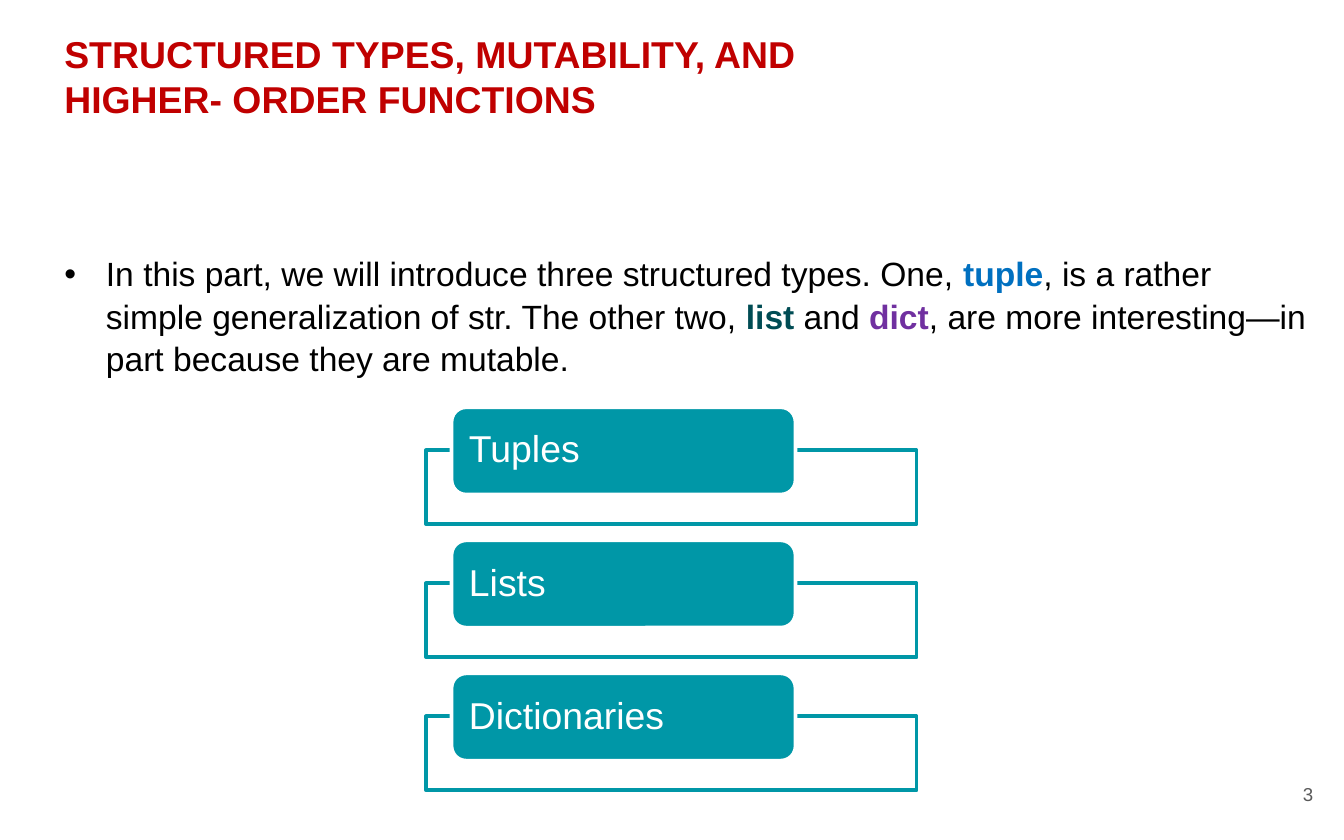
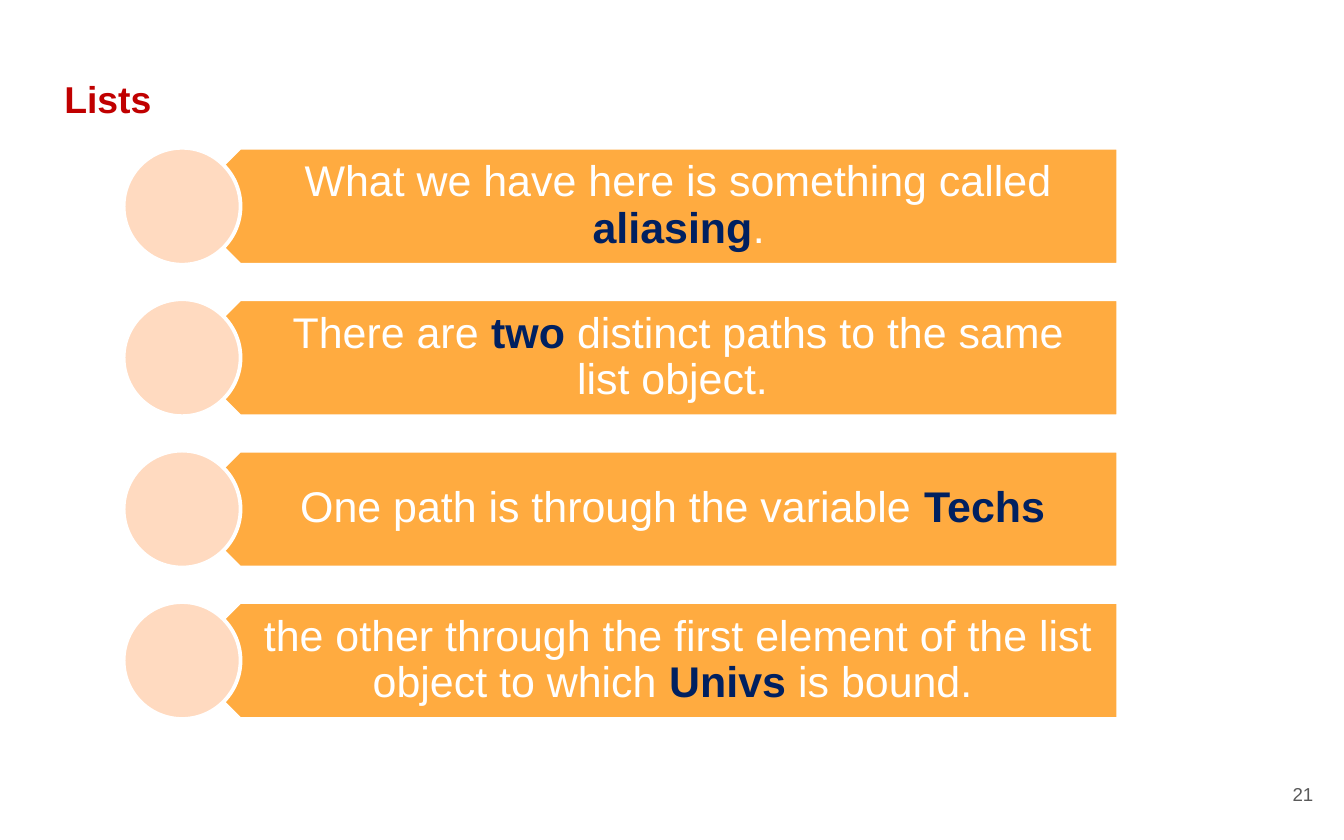
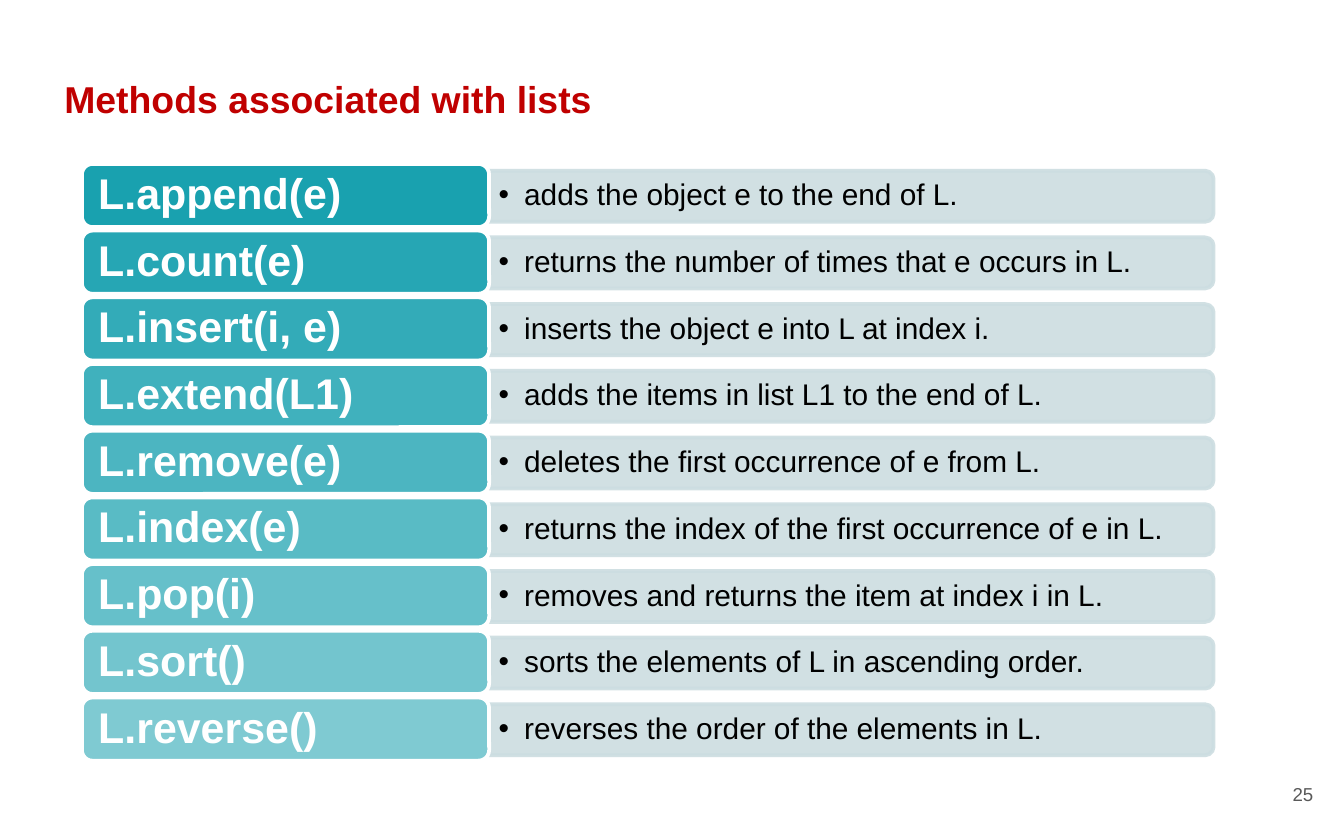
from lxml import etree
from pptx import Presentation
from pptx import util as u
from pptx.dml.color import RGBColor
from pptx.enum import shapes, text
from pptx.oxml.ns import qn

FONT = "Arial"
WHITE, BLACK, GRAY, RED = "FFFFFF", "000000", "595959", "C00000"
TEAL, PALE_TEAL, ORANGE, PEACH = "0097A7", "CCDDE1", "FFAB40", "FFDAC0"
BLUE, DARK_TEAL, PURPLE, NAVY = "0070C0", "004C54", "7030A0", "002060"
LINE_BREAK = "\n"
FORMS = shapes.MSO_SHAPE
LEFT, CENTER, RIGHT = text.PP_ALIGN.LEFT, text.PP_ALIGN.CENTER, text.PP_ALIGN.RIGHT
TOP, MIDDLE, BOTTOM = text.MSO_ANCHOR.TOP, text.MSO_ANCHOR.MIDDLE, text.MSO_ANCHOR.BOTTOM

STRUCTURED_TYPES = ["Tuples", "Lists", "Dictionaries"]
INTRODUCTION = [
    "In this part, we will introduce three structured types. One, ",
    ("tuple", BLUE),
    ", is a rather simple generalization of str. The other two, ",
    ("list", DARK_TEAL),
    " and ",
    ("dict", PURPLE),
    ", are more interesting—in part because they are mutable.",
]
ALIASING = [
    ["What we have here is something called ", ("aliasing", NAVY), "."],
    ["There are ", ("two", NAVY), " distinct paths to the same list object. "],
    ["One path is through the variable ", ("Techs ", NAVY)],
    ["the other through the first element of the list object to which ",
     ("Univs", NAVY), " is bound. "],
]
METHODS = [
    ("L.append(e)", "adds the object e to the end of L."),
    ("L.count(e)", "returns the number of times that e occurs in L."),
    ("L.insert(i, e)", "inserts the object e into L at index i."),
    ("L.extend(L1)", "adds the items in list L1 to the end of L."),
    ("L.remove(e)", "deletes the first occurrence of e from L."),
    ("L.index(e)", "returns the index of the first occurrence of e in L."),
    ("L.pop(i)", "removes and returns the item at index i in L."),
    ("L.sort()", "sorts the elements of L in ascending order."),
    ("L.reverse()", "reverses the order of the elements in L."),
]


def rgb(code):
    return RGBColor.from_string(code)


def inches(*lengths):
    return [u.Inches(length) for length in lengths]


def add_bullet(para, indent):
    properties = para._p.get_or_add_pPr()
    properties.set("marL", str(u.Inches(indent)))
    properties.set("indent", str(-u.Inches(indent)))
    color = etree.SubElement(properties, qn("a:buClr"))
    etree.SubElement(color, qn("a:srgbClr"), val=BLACK)
    etree.SubElement(properties, qn("a:buFont"), typeface=FONT)
    etree.SubElement(properties, qn("a:buChar"), char="•")


def write(shape, spans, size, color, bold=False, align=LEFT, anchor=MIDDLE,
          insets=(0.1, 0.1, 0.1, 0.1), spacing=None, bullet_indent=None):
    frame = shape.text_frame
    frame.word_wrap = True
    frame.vertical_anchor = anchor
    (frame.margin_left, frame.margin_top,
     frame.margin_right, frame.margin_bottom) = inches(*insets)
    para = frame.paragraphs[0]
    para.alignment = align
    if spacing:
        para.line_spacing = spacing
    if bullet_indent:
        add_bullet(para, bullet_indent)
    for span in spans:
        if span == LINE_BREAK:
            para.add_line_break()
            continue
        emphasized = isinstance(span, tuple)
        words, span_color = span if emphasized else (span, color)
        run = para.add_run()
        run.text = words
        run.font.name = FONT
        run.font.size = u.Pt(size)
        run.font.bold = bold or emphasized
        run.font.color.rgb = rgb(span_color)


def add_text(page, place, spans, size, color, **style):
    box = page.shapes.add_textbox(*inches(*place))
    write(box, spans, size, color, **style)


def add_form(page, form, place, fill, line=WHITE, opacity=100, rotation=0):
    shape = page.shapes.add_shape(form, *inches(*place))
    shape.shadow.inherit = False
    shape.rotation = rotation
    shape.fill.solid()
    shape.fill.fore_color.rgb = rgb(fill)
    shape.line.color.rgb = rgb(line)
    shape.line.width = u.Pt(2)
    if opacity < 100:
        for color in shape._element.spPr.iter(qn("a:srgbClr")):
            if color.get("val") == fill:
                etree.SubElement(color, qn("a:alpha"), val=str(opacity * 1000))
    return shape


def add_page(deck, title, number):
    page = deck.slides.add_slide(deck.slide_layouts[6])
    add_text(page, (0.38, 0.58, 7.52, 0.32), title, 20, RED, bold=True,
             anchor=BOTTOM, insets=(0.1, 0, 0.1, 0))
    add_text(page, (9.27, 5.67, 0.6, 0.48), [str(number)], 10, GRAY, align=RIGHT)
    return page


def add_type_card(page, top, name):
    add_form(page, FORMS.RECTANGLE, (3.17, top + 0.32, 3.65, 0.55), WHITE,
             line=TEAL, opacity=90)
    label = add_form(page, FORMS.ROUNDED_RECTANGLE, (3.36, top, 2.56, 0.65), TEAL)
    write(label, [name], 20, WHITE, insets=(0.1, 0, 0.1, 0), spacing=0.9)


def add_aliasing_band(page, top, spans):
    height = 0.87
    add_form(page, FORMS.PENTAGON, (1.35, top, 6.97, height), ORANGE, rotation=180)
    add_text(page, (1.57, top, 6.76, height), spans, 23, WHITE, align=CENTER,
             insets=(0.38, 0.1, 0.18, 0.1), spacing=0.9)
    add_form(page, FORMS.OVAL, (0.92, top, height, height), PEACH)


def add_method_row(page, top, name, meaning, opacity):
    left, length, thickness = 3.64, 5.39, 0.38
    turn = (length - thickness) / 2
    add_form(page, FORMS.ROUND_2_SAME_RECTANGLE,
             (left + turn, top + 0.05 - turn, thickness, length), PALE_TEAL,
             line=PALE_TEAL, opacity=90, rotation=90)
    add_text(page, (left, top + 0.07, 5.37, 0.34), [meaning], 16, BLACK,
             insets=(0.07, 0.03, 0.07, 0.03), spacing=0.9, bullet_indent=0.19)
    label = add_form(page, FORMS.ROUNDED_RECTANGLE, (0.61, top, 3.03, 0.47), TEAL,
                     opacity=opacity)
    write(label, [name], 23, WHITE, bold=True, insets=(0.1, 0.05, 0.1, 0.05),
          spacing=0.9)


def main():
    deck = Presentation()
    deck.slide_width, deck.slide_height = inches(10, 6.25)

    page = add_page(deck, ["STRUCTURED TYPES, MUTABILITY, AND", LINE_BREAK,
                           "HIGHER- ORDER FUNCTIONS"], 3)
    add_text(page, (0.38, 1.17, 9.48, 4.5), INTRODUCTION, 18, BLACK, anchor=TOP,
             insets=(0.1, 0.7, 0.1, 0.1), spacing=1.05, bullet_indent=0.31)
    for row, name in enumerate(STRUCTURED_TYPES):
        add_type_card(page, 3.03 + row * 0.99, name)

    page = add_page(deck, ["Lists"], 21)
    for row, spans in enumerate(ALIASING):
        add_aliasing_band(page, 1.1 + row * 3.38 / 3, spans)

    page = add_page(deck, ["Methods associated with lists"], 25)
    for row, (name, meaning) in enumerate(METHODS):
        add_method_row(page, 1.22 + row * 3.97 / 8, name, meaning, 90 - row * 5)

    deck.save("out.pptx")


if __name__ == "__main__":
    main()
